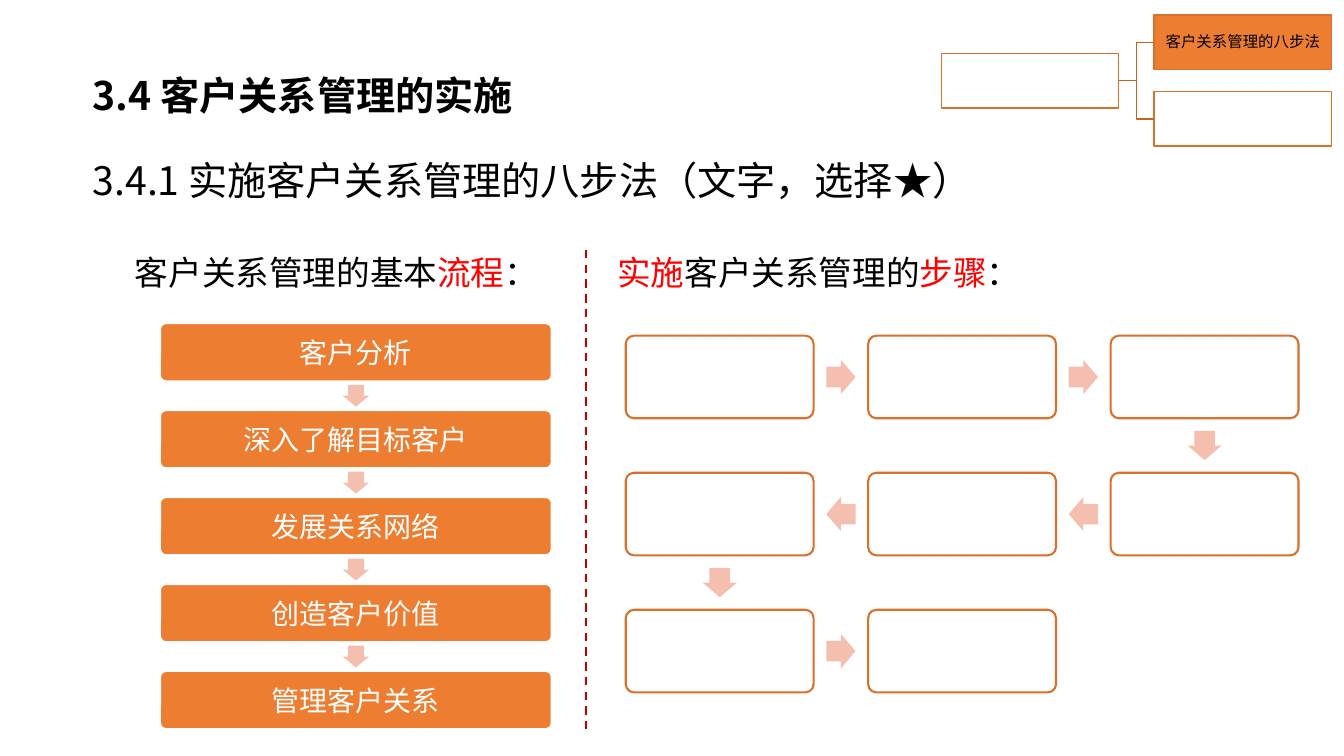
import math
from itertools import pairwise
from lxml import etree
from pptx import Presentation
from pptx import util as u
from pptx.dml.color import RGBColor
from pptx.enum import dml, shapes, text
from pptx.oxml.ns import qn

THEME = {
    "orange": "ED7D31", "outline": "D7712C", "branch": "BE6427", "arrow": "F4BFAE",
    "white": "FFFFFF", "black": "000000", "red": "FF0000", "divider": "C00000",
    "title": 28, "heading": 24, "step": 20, "tag": 11,
    "heading_font": "Noto Sans CJK SC", "body_font": "Noto Sans CJK JP",
}

deck = Presentation()
deck.slide_width, deck.slide_height = u.Inches(13.333), u.Inches(7.5)
page = deck.slides.add_slide(deck.slide_layouts[6])

# The page is a grid of 100 columns by 100 rows
COLUMN, ROW = deck.slide_width / 100, deck.slide_height / 100


def write(box, words, size, font, color="black", bold=False, align="LEFT",
          anchor="TOP", spacing=None, inset=(0.1, 0.05)):
    """Fill a box with one paragraph; words is a string or (string, color) pairs."""
    frame = box.text_frame
    frame.word_wrap = True
    frame.vertical_anchor = getattr(text.MSO_ANCHOR, anchor)
    frame.margin_left = frame.margin_right = u.Inches(inset[0])
    frame.margin_top = frame.margin_bottom = u.Inches(inset[1])
    para = frame.paragraphs[0]
    para.alignment = getattr(text.PP_ALIGN, align)
    para.line_spacing = spacing
    for part, shade in [(words, color)] if isinstance(words, str) else words:
        span = para.add_run()
        span.text = part
        span.font.size, span.font.bold = u.Pt(THEME[size]), bold
        span.font.name = THEME[font]
        span.font.color.rgb = RGBColor.from_string(THEME[shade])
        east_asian = etree.SubElement(span.font._element, qn("a:ea"))
        east_asian.set("typeface", THEME[font])


def add_block(kind, center, size, fill, line=None, weight=1, adjust=()):
    """Draw a preset shape around a centre given in columns and rows."""
    (x, y), (width, height) = center, size
    block = page.shapes.add_shape(
        kind, round((x - width / 2) * COLUMN), round((y - height / 2) * ROW),
        round(width * COLUMN), round(height * ROW))
    block.shadow.inherit = False
    block.fill.solid()
    block.fill.fore_color.rgb = RGBColor.from_string(THEME[fill])
    if line:
        block.line.color.rgb = RGBColor.from_string(THEME[line])
        block.line.width = u.Pt(weight)
    else:
        block.line.fill.background()
    for index, value in enumerate(adjust):
        block.adjustments[index] = value
    return block


# Titles and column headings
captions = [
    ((6, 8.67, 60, 7.87), "3.4 客户关系管理的实施",
     dict(size="title", font="heading_font", bold=True, inset=(0.12, 0.06))),
    ((6, 15.33, 91.2, 13.87), "3.4.1 实施客户关系管理的八步法（文字，选择★）",
     dict(size="title", font="heading_font", anchor="MIDDLE", spacing=1.5,
          inset=(0.12, 0.06))),
    ((9.3, 31.2, 33, 8.27), [("客户关系管理的基本", "black"), ("流程", "red"), ("：", "black")],
     dict(size="heading", font="body_font", spacing=u.Pt(37))),
    ((45.2, 31.2, 40, 8.27),
     [("实施", "red"), ("客户关系管理的", "black"), ("步骤", "red"), ("：", "black")],
     dict(size="heading", font="body_font", spacing=u.Pt(37))),
]
for (left, top, width, height), words, style in captions:
    caption = page.shapes.add_textbox(round(left * COLUMN), round(top * ROW),
                                      round(width * COLUMN), round(height * ROW))
    write(caption, words, **style)

# Basic process: a column of five boxes
process = ["客户分析", "深入了解目标客户", "发展关系网络", "创造客户价值", "管理客户关系"]
process_centers = [(26.48, 46.6 + 11.5 * row) for row in range(len(process))]
for center, words in zip(process_centers, process):
    box = add_block(shapes.MSO_SHAPE.ROUNDED_RECTANGLE, center, (29.1, 7.6),
                    "orange", "white", adjust=[0.1])
    write(box, words, "step", "body_font", "white", align="CENTER", anchor="MIDDLE",
          spacing=u.Pt(24), inset=(0.08, 0.08))

# Eight steps: a winding path through a three-column grid
cells = [(column if row % 2 == 0 else 2 - column, row)
         for row in range(3) for column in range(3)][:8]
step_centers = [(53.55 + 18.04 * column, 49.87 + 18.13 * row) for column, row in cells]
for center in step_centers:
    add_block(shapes.MSO_SHAPE.ROUNDED_RECTANGLE, center, (13.98, 10.93),
              "white", "outline", 1.5, [0.1])

# Arrows halfway between neighbouring boxes
for centers, arrow_size in [(process_centers, (1.63, 3.47)), (step_centers, (2.18, 4.53))]:
    for (x1, y1), (x2, y2) in pairwise(centers):
        arrow = add_block(shapes.MSO_SHAPE.RIGHT_ARROW, ((x1 + x2) / 2, (y1 + y2) / 2),
                          arrow_size, "arrow", adjust=[0.6, 0.5])
        arrow.rotation = math.degrees(math.atan2(y2 - y1, x2 - x1))

# Topic tree in the corner
root, tag, sibling = [
    add_block(shapes.MSO_SHAPE.RECTANGLE, center, (13.2, 7.2), fill, "outline")
    for center, fill in [((76.65, 10.67), "white"), ((92.48, 5.6), "orange"),
                         ((92.48, 15.73), "white")]]
write(tag, "客户关系管理的八步法", "tag", "heading_font", align="CENTER",
      anchor="MIDDLE", spacing=0.9, inset=(0.01, 0.01))

# Tree branches and the dashed divider
divider = page.shapes.add_connector(
    shapes.MSO_CONNECTOR.STRAIGHT, round(43.58 * COLUMN), round(33.07 * ROW),
    round(43.58 * COLUMN), round(96.4 * ROW))
divider.line.dash_style = dml.MSO_LINE.DASH
lines = [(divider, "divider", 1.5)]
for leaf in (tag, sibling):
    branch = page.shapes.add_connector(shapes.MSO_CONNECTOR.ELBOW, 0, 0, 0, 0)
    branch.begin_connect(root, 3)
    branch.end_connect(leaf, 1)
    lines.append((branch, "branch", 1))
for line, color, weight in lines:
    line.line.color.rgb = RGBColor.from_string(THEME[color])
    line.line.width = u.Pt(weight)
    etree.SubElement(line._element.spPr, qn("a:effectLst"))

deck.save("out.pptx")
